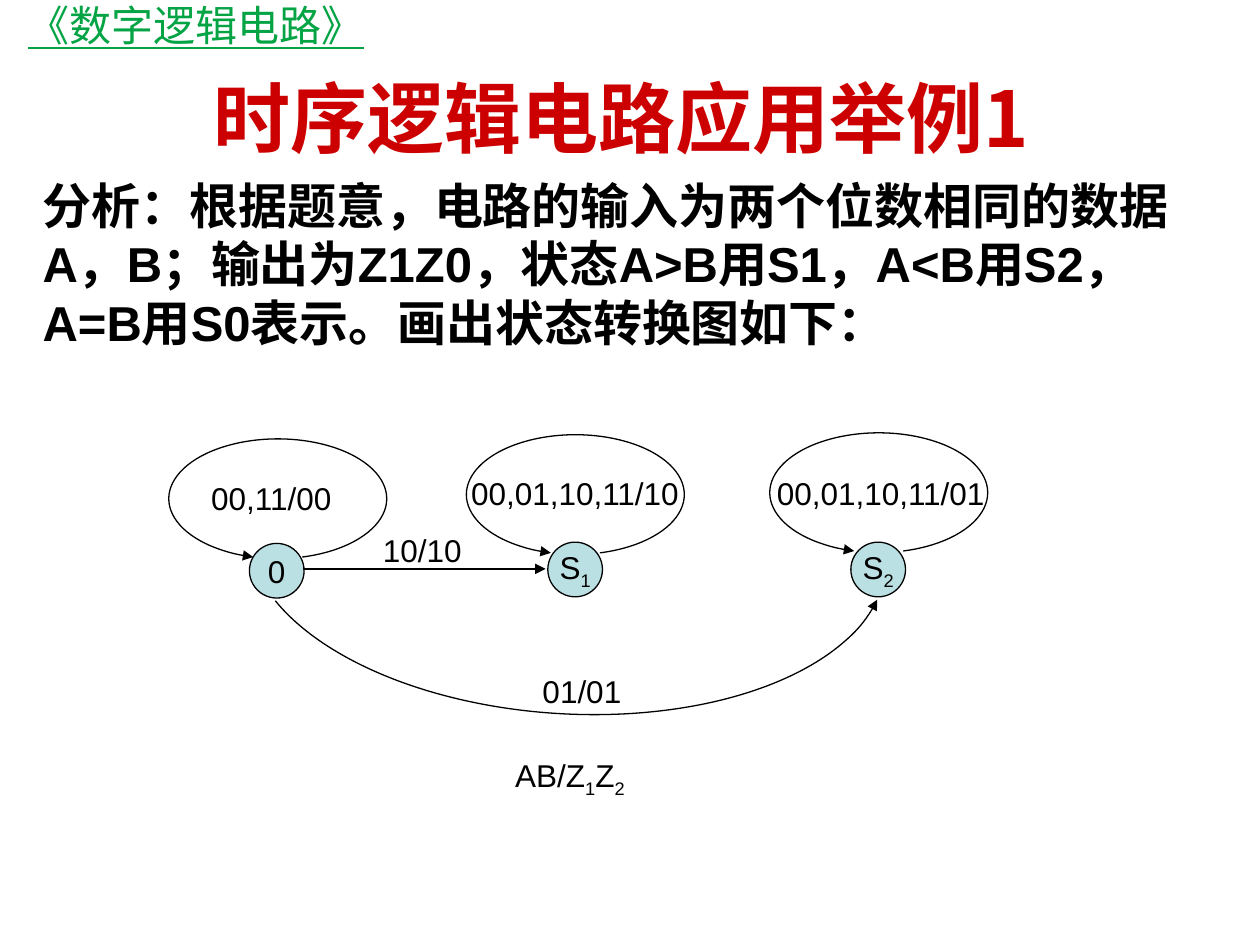
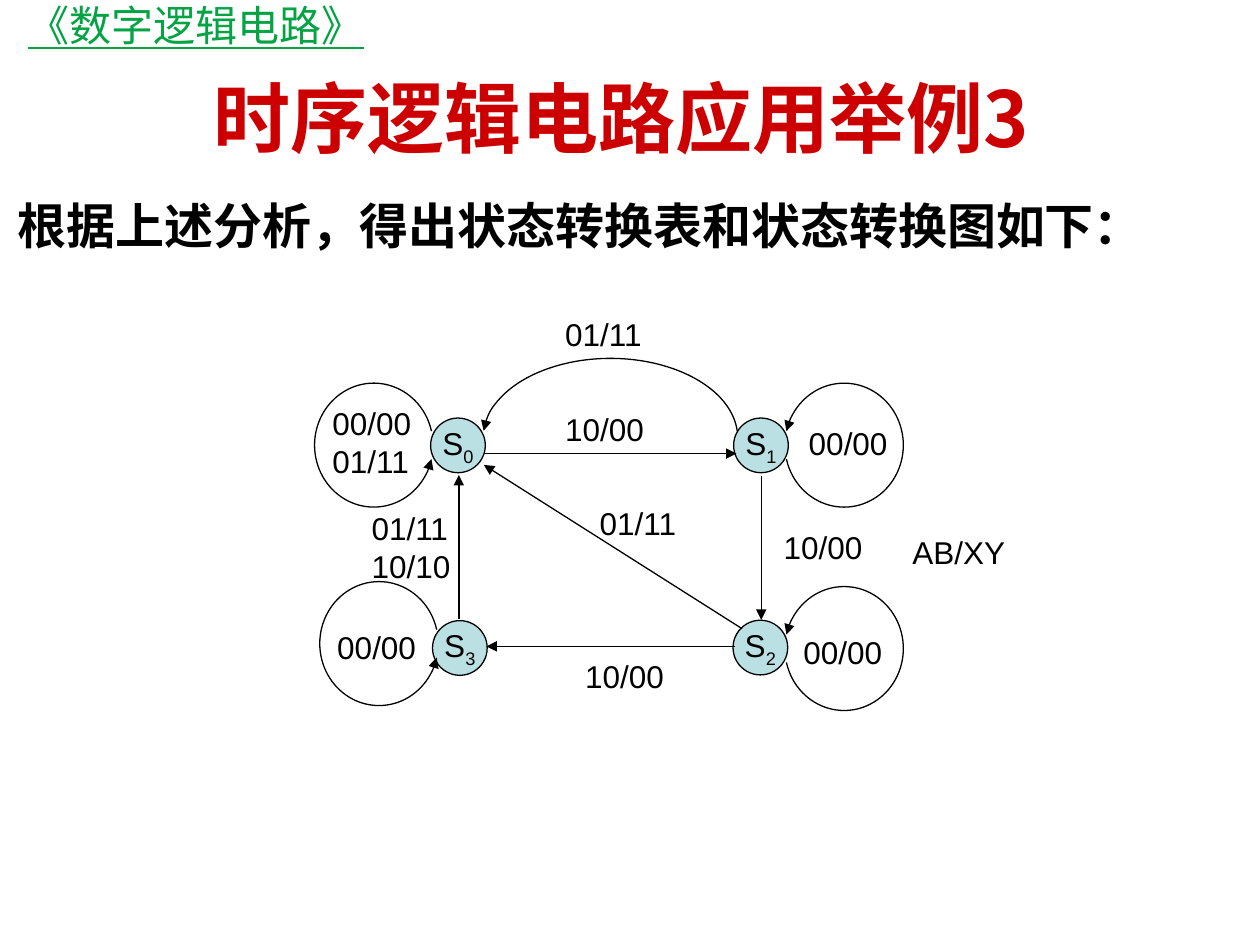
import math
from dataclasses import dataclass
from typing import Any

import pptx
import pptx.dml.color
import pptx.enum.shapes
import pptx.enum.text
import pptx.oxml.ns
import pptx.util
from lxml import etree

RGBColor = pptx.dml.color.RGBColor
RED = RGBColor(0xCC, 0x00, 0x00)
GREEN = RGBColor(0x04, 0xA4, 0x45)
BLACK = RGBColor(0x00, 0x00, 0x00)
PALE = RGBColor(0xBB, 0xE0, 0xE3)
SANS = "Arial"
HAN = "Noto Sans CJK SC"

# Grid: all places and sizes below are in columns and rows
WIDE, HIGH = pptx.util.Inches(10), pptx.util.Inches(7.5)
COLS, ROWS = 100, 75
NODE = 4.34  # diameter of a state
GAP = 13  # half the opening of a loop, in degrees

LEFT = pptx.enum.text.PP_ALIGN.LEFT
MID = pptx.enum.text.PP_ALIGN.CENTER
TOP = pptx.enum.text.MSO_ANCHOR.TOP
CORE = pptx.enum.text.MSO_ANCHOR.MIDDLE
SHAPE = pptx.enum.shapes.MSO_SHAPE


@dataclass(frozen=True)
class Box:
    x: float
    y: float
    w: float
    h: float


@dataclass(frozen=True)
class Type:
    size: float
    color: RGBColor = BLACK
    font: str = SANS
    bold: bool = False
    under: bool = False
    align: Any = LEFT
    anchor: Any = TOP
    wrap: bool = True


@dataclass(frozen=True)
class State:
    """A round node; x and y are its centre. '|' toggles subscript."""
    text: str
    x: float
    y: float


@dataclass(frozen=True)
class Label:
    text: str
    x: float
    y: float
    w: float = 8.2


@dataclass(frozen=True)
class Arrow:
    x1: float
    y1: float
    x2: float
    y2: float


@dataclass(frozen=True)
class Arc:
    """Part of an ellipse, clockwise from tip to tail, in degrees."""
    x: float
    y: float
    rx: float
    ry: float
    tip: float
    tail: float
    tilt: float = 0


@dataclass(frozen=True)
class Page:
    title: str
    body: str
    place: Box
    wrap: bool
    states: list[State]
    arcs: list[Arc]
    arrows: list[Arrow]
    labels: list[Label]


HEAD = Type(44, RED, HAN, bold=True, align=MID, anchor=CORE)
COURSE = Type(24, GREEN, HAN, under=True, align=MID, anchor=CORE)
NOTE = Type(18, wrap=False)
DOT = Type(18, align=MID, anchor=CORE, wrap=False)


def col(n: float) -> int:
    return round(WIDE * n / COLS)


def row(n: float) -> int:
    return round(HIGH * n / ROWS)


def area(box: Box) -> tuple[int, int, int, int]:
    return col(box.x), row(box.y), col(box.w), row(box.h)


def loop(x: float, y: float, rx: float, ry: float, face: float) -> Arc:
    """A self-transition that opens towards the angle face."""
    return Arc(x, y, rx, ry, face + GAP, face - GAP)


def write(frame: Any, text: str, kind: Type) -> None:
    frame.text = text
    frame.auto_size = pptx.enum.text.MSO_AUTO_SIZE.NONE
    frame.word_wrap = kind.wrap
    frame.vertical_anchor = kind.anchor
    frame.margin_left = frame.margin_right = pptx.util.Inches(0.1)
    frame.margin_top = frame.margin_bottom = pptx.util.Inches(0.05)
    for para in frame.paragraphs:
        para.alignment = kind.align
        first, *rest = para.text.split("|")
        para.text = first
        for piece in filter(None, rest):
            para.add_run().text = piece
        for j, run in enumerate(para.runs):
            font = run.font
            font.size = pptx.util.Pt(kind.size)
            font.name, font.bold, font.underline = kind.font, kind.bold, kind.under
            font.color.rgb = kind.color
            props = run._r.get_or_add_rPr()
            etree.SubElement(props, pptx.oxml.ns.qn("a:ea"), typeface=HAN)
            if j % 2:
                props.set("baseline", "-25000")


def add_text(slide: Any, text: str, box: Box, kind: Type) -> Any:
    frame = slide.shapes.add_textbox(*area(box)).text_frame
    write(frame, text, kind)
    return frame


def ink(line: Any, end: str = "") -> None:
    line.color.rgb = BLACK
    line.width = pptx.util.Pt(0.75)
    if end:
        etree.SubElement(line._get_or_add_ln(), pptx.oxml.ns.qn(end),
                         type="triangle")


def add_state(slide: Any, state: State) -> None:
    box = Box(state.x - NODE / 2, state.y - NODE / 2, NODE, NODE)
    shape = slide.shapes.add_shape(SHAPE.OVAL, *area(box))
    shape.shadow.inherit = False
    shape.fill.solid()
    shape.fill.fore_color.rgb = PALE
    ink(shape.line)
    write(shape.text_frame, state.text, DOT)


def add_arrow(slide: Any, arrow: Arrow) -> None:
    link = slide.shapes.add_connector(
        pptx.enum.shapes.MSO_CONNECTOR.STRAIGHT,
        col(arrow.x1), row(arrow.y1), col(arrow.x2), row(arrow.y2))
    ink(link.line, "a:tailEnd")
    etree.SubElement(link._element.spPr, pptx.oxml.ns.qn("a:effectLst"))


def add_arc(slide: Any, arc: Arc) -> None:
    box = Box(arc.x - arc.rx, arc.y - arc.ry, 2 * arc.rx, 2 * arc.ry)
    shape = slide.shapes.add_shape(SHAPE.ARC, *area(box))
    for i, turn in enumerate((arc.tip, arc.tail)):
        turn = math.radians(turn)
        seen = math.atan2(arc.ry * math.sin(turn), arc.rx * math.cos(turn))
        # Angles are stored in 60000ths, adjustments in 100000ths
        shape.adjustments[i] = math.degrees(seen) % 360 * 0.6
    shape.rotation = arc.tilt
    shape.shadow.inherit = False
    shape.fill.background()
    ink(shape.line, "a:headEnd")


def add_page(deck: Any, page: Page) -> None:
    slide = deck.slides.add_slide(deck.slide_layouts[5])

    # Title and course name
    title = slide.shapes.title
    title.left, title.top, title.width, title.height = area(Box(5, 3, 90, 12.5))
    write(title.text_frame, page.title, HEAD)
    add_text(slide, "《数字逻辑电路》", Box(0, 0, 31.1, 3.9), COURSE)

    # Body text, with a fixed line pitch
    kind = Type(28, bold=True, anchor=CORE, wrap=page.wrap)
    frame = add_text(slide, page.body, page.place, kind)
    frame.margin_right = pptx.util.Inches(0.05)
    frame.paragraphs[0].line_spacing = pptx.util.Pt(33.6)

    # State diagram
    for state in page.states:
        add_state(slide, state)
    for arc in page.arcs:
        add_arc(slide, arc)
    for arrow in page.arrows:
        add_arrow(slide, arrow)
    for label in page.labels:
        high = 4 + 3 * label.text.count("\n")
        add_text(slide, label.text, Box(label.x, label.y, label.w, high), NOTE)


FIRST = Page(
    "时序逻辑电路应用举例1 ",
    "分析：根据题意，电路的输入为两个位数相同的数据A，B；输出为Z1Z0，"
    "状态A>B用S1，A<B用S2，A=B用S0表示。画出状态转换图如下：",
    Box(2.4, 13.4, 91.3, 15), True,
    states=[State("0", 21.97, 45.3), State("S|1", 45.65, 45.2),
            State("S|2", 69.7, 45.2)],
    arcs=[*(loop(x, y, 8.65, 4.75, 90)
            for x, y in [(22.05, 39.58), (45.67, 39.25), (69.75, 39.1)]),
          Arc(45, 43.25, 25.4, 13.4, 12, 154, 3.6)],
    arrows=[Arrow(24.05, 45.15, 43.3, 45.15)],
    labels=[Label("00,11/00", 15.77, 37.5, 11.7),
            Label("00,01,10,11/10", 36.4, 37.1, 18.7),
            Label("00,01,10,11/01", 60.67, 37.1, 18.7),
            Label("10/10", 29.4, 41.65), Label("01/01", 42.07, 52.85),
            Label("AB/Z|1|Z|2", 39.9, 59.55, 10.7)],
)

THIRD = Page(
    "时序逻辑电路应用举例3 ",
    "根据上述分析，得出状态转换表和状态转换图如下：",
    Box(0.4, 15, 92.2, 5.7), False,
    states=[State("S|0", 36.35, 35.35), State("S|1", 60.4, 35.35),
            State("S|2", 60.35, 51.4), State("S|3", 36.5, 51.43)],
    arcs=[*(loop(x, y, 4.7, 4.92, face)
            for x, y, face in [(29.67, 35.33, 0), (67, 35.33, 180),
                               (67, 51.47, 180), (30.08, 51.08, 0)]),
          Arc(48.45, 34.75, 10.1, 6.3, 185, 355)],
    arrows=[Arrow(38.4, 36, 58.45, 36), Arrow(60.42, 37.8, 60.42, 49.2),
            Arrow(58.3, 51.3, 38.6, 51.3), Arrow(36.42, 49.1, 36.42, 37.7),
            Arrow(58.9, 49.9, 38.4, 36.9)],
    labels=[Label("00/00", 62.77, 49.75), Label("00/00", 25.78, 49.35),
            Label("00/00", 63.2, 33.2), Label("00/00\n01/11", 25.4, 31.6),
            Label("01/11", 46.6, 39.5), Label("10/00", 45.45, 51.65),
            Label("10/00", 43.87, 32.05), Label("10/00", 61.2, 41.45),
            Label("AB/XY", 71.43, 41.8, 9.3), Label("01/11\n10/10", 28.5, 39.9),
            Label("01/11", 43.87, 24.5)],
)


def main() -> None:
    deck = pptx.Presentation()
    deck.slide_width, deck.slide_height = WIDE, HIGH
    for page in (FIRST, THIRD):
        add_page(deck, page)
    deck.save("out.pptx")


if __name__ == "__main__":
    main()
